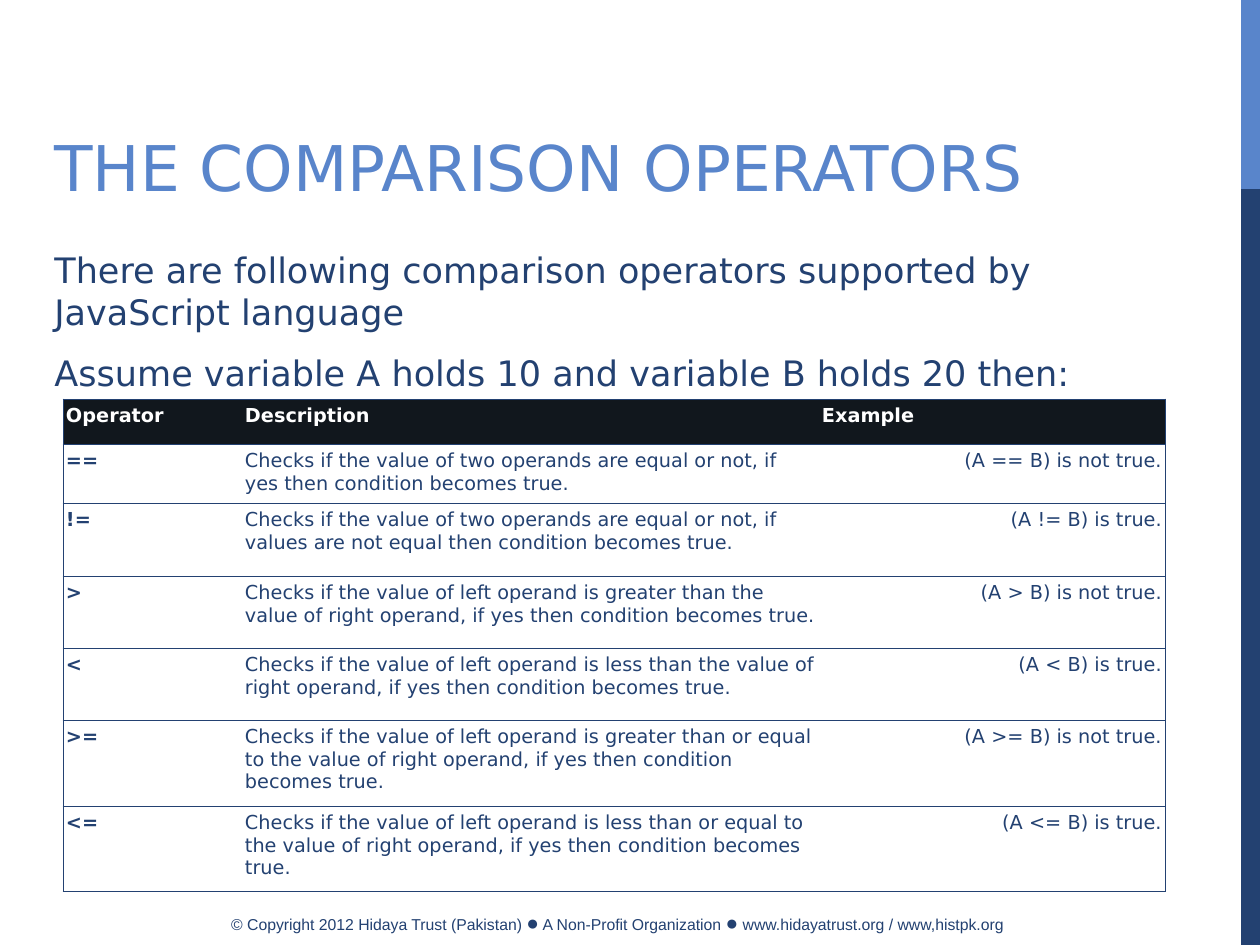
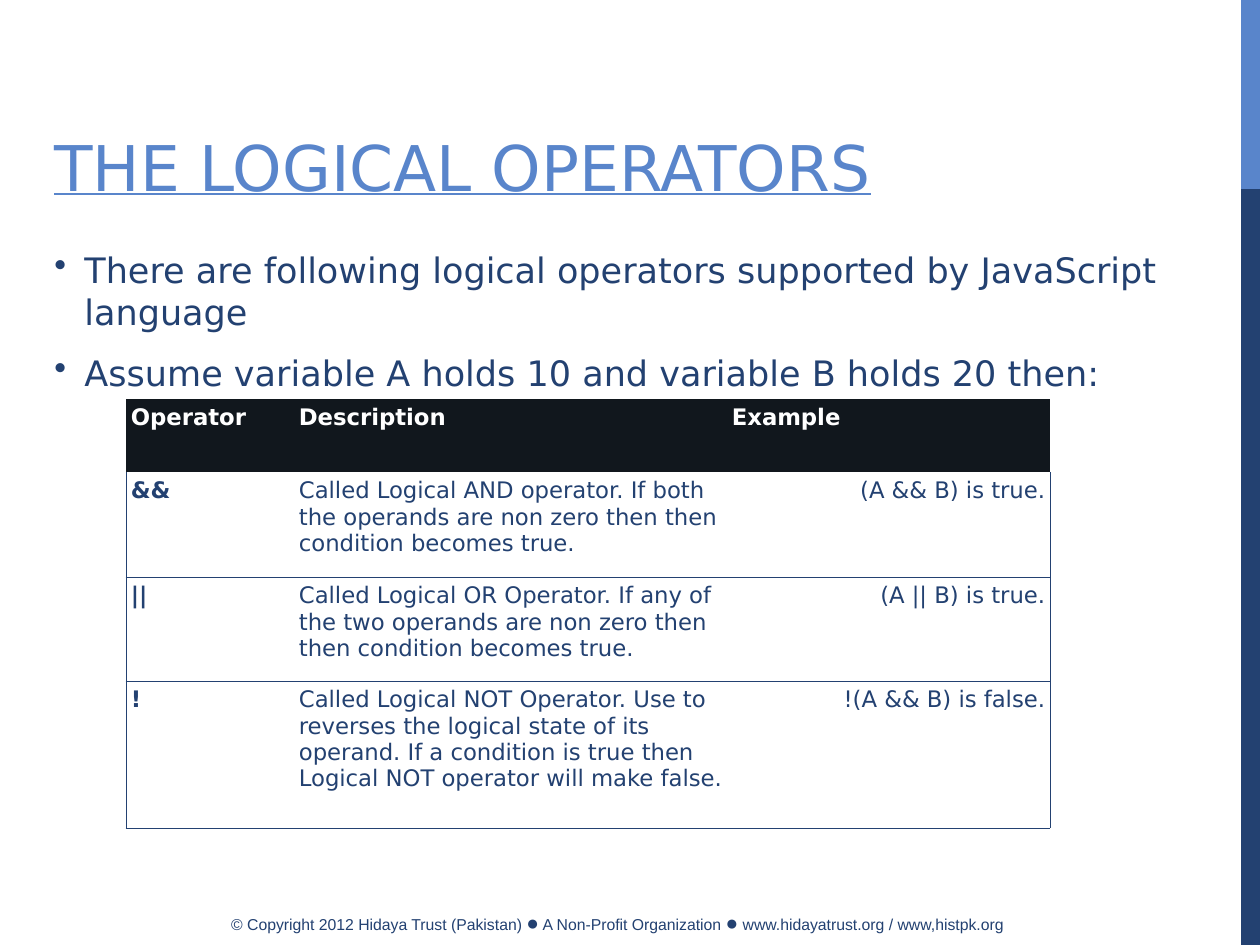
from lxml import etree
from pptx import Presentation, util as u
from pptx.dml.color import RGBColor
from pptx.enum import shapes, text
from pptx.oxml import ns

NAVY = RGBColor(0x23, 0x41, 0x71)
BLUE = RGBColor(0x59, 0x85, 0xCB)
INK = RGBColor(0x11, 0x17, 0x1D)
WHITE = RGBColor(0xFF, 0xFF, 0xFF)
FONT = "DejaVu Sans"
FOOT_FONT = "Arial"
PX = 914400 / 126
BORDER = u.Pt(0.45)
LEFT, RIGHT = text.PP_ALIGN.LEFT, text.PP_ALIGN.RIGHT

HEADER = ("Operator", "Description", "Example")
ASSUME = "Assume variable A holds 10 and variable B holds 20 then:"
FOOTER = [
    ("© Copyright 2012 Hidaya Trust (Pakistan) ", 9),
    ("●", 12),
    (" A Non-Profit Organization ", 9),
    ("●", 12),
    (" www.hidayatrust.org / www,histpk.org ", 9),
]
BANDS = [(945, NAVY), (189, BLUE)]
SLIDES = [
    dict(
        title="THE COMPARISON OPERATORS", underline=False, bullet=False,
        intro=["There are following comparison operators supported by JavaScript language", ASSUME],
        left=63, cols=(179, 577, 346), heights=(45, 59, 73, 72, 72, 86, 86),
        inset=3, size=11, header_lines=True,
        rows=[
            ("==", "Checks if the value of two operands are equal or not, if yes then condition becomes true.",
             "(A == B) is not true."),
            ("!=", "Checks if the value of two operands are equal or not, if values are not equal then condition becomes true.",
             "(A != B) is true."),
            (">", "Checks if the value of left operand is greater than the value of right operand, if yes then condition becomes true.",
             "(A > B) is not true."),
            ("<", "Checks if the value of left operand is less than the value of right operand, if yes then condition becomes true.",
             "(A < B) is true."),
            (">=", "Checks if the value of left operand is greater than or equal to the value of right operand, if yes then condition becomes true.",
             "(A >= B) is not true."),
            ("<=", "Checks if the value of left operand is less than or equal to the value of right operand, if yes then condition becomes true.",
             "(A <= B) is true."),
        ],
    ),
    dict(
        title="THE LOGICAL OPERATORS", underline=True, bullet=True,
        intro=["There are following logical operators supported by JavaScript language", ASSUME],
        left=126, cols=(168, 433, 323), heights=(73, 105, 104, 147),
        inset=5, size=13, header_lines=False,
        rows=[
            ("&&", "Called Logical AND operator. If both the operands are non zero then then condition becomes true.",
             "(A && B) is true."),
            ("||", "Called Logical OR Operator. If any of the two operands are non zero then then condition becomes true.",
             "(A || B) is true."),
            ("!", "Called Logical NOT Operator. Use to reverses the logical state of its operand. If a condition is true then Logical NOT operator will make false.",
             "!(A && B) is false."),
        ],
    ),
]


def px(n):
    return u.Emu(round(n * PX))


def add_bullet(p, indent=30):
    pPr = p._p.get_or_add_pPr()
    pPr.set("marL", str(px(indent)))
    pPr.set("indent", str(-px(indent)))
    etree.SubElement(pPr, ns.qn("a:buChar")).set("char", "•")


def write(tf, paragraphs, size=None, color=NAVY, font=FONT, bold=False, underline=False,
          align=LEFT, bullet=False, before=0, after=0):
    for i, runs in enumerate(paragraphs):
        p = tf.add_paragraph() if i else tf.paragraphs[0]
        p.alignment = align
        if i:
            p.space_before = u.Pt(before)
        p.space_after = u.Pt(after)
        if bullet:
            add_bullet(p)
        for words, run_size in [(runs, size)] if isinstance(runs, str) else runs:
            r = p.add_run()
            r.text = words
            r.font.name, r.font.size, r.font.bold = font, u.Pt(run_size), bold
            r.font.underline = underline
            r.font.color.rgb = color


def add_text(s, box, paragraphs, anchor=text.MSO_ANCHOR.TOP, **fmt):
    tf = s.shapes.add_textbox(*map(px, box)).text_frame
    tf.word_wrap = True
    tf.vertical_anchor = anchor
    write(tf, paragraphs, **fmt)


def add_frame(s):
    add_text(s, (189, 903, 861, 38), [FOOTER], font=FOOT_FONT, align=text.PP_ALIGN.CENTER)
    for height, color in BANDS:
        sp = s.shapes.add_shape(shapes.MSO_SHAPE.RECTANGLE, px(1241), 0, px(19), px(height))
        sp.shadow.inherit = False
        sp.fill.solid()
        sp.fill.fore_color.rgb = color
        sp.line.fill.background()


def set_borders(cell, shown):
    tcPr = cell._tc.get_or_add_tcPr()
    for i, side in enumerate("LRTB"):
        ln = etree.Element(ns.qn(f"a:ln{side}"), w=str(BORDER))
        if side in shown:
            fill = etree.SubElement(ln, ns.qn("a:solidFill"))
            etree.SubElement(fill, ns.qn("a:srgbClr"), val=str(NAVY))
        else:
            etree.SubElement(ln, ns.qn("a:noFill"))
        tcPr.insert(i, ln)


def visible_sides(row, col, header_lines):
    if row == 0 and not header_lines:
        return ""
    sides = {0: "L", len(HEADER) - 1: "R"}.get(col, "") + "B"
    return sides + ("T" if row != 1 or header_lines else "")


def add_operator_table(s, d):
    rows = [HEADER, *d["rows"]]
    frame = s.shapes.add_table(len(rows), len(HEADER), px(d["left"]), px(399),
                               px(sum(d["cols"])), px(sum(d["heights"])))
    table = frame.table
    for column, width in zip(table.columns, d["cols"]):
        column.width = px(width)
    for i, values in enumerate(rows):
        table.rows[i].height = px(d["heights"][i])
        for j, value in enumerate(values):
            cell = table.cell(i, j)
            cell.margin_left = cell.margin_right = px(d["inset"])
            cell.margin_top = cell.margin_bottom = px(6)
            cell.fill.solid()
            cell.fill.fore_color.rgb = WHITE if i else INK
            set_borders(cell, visible_sides(i, j, d["header_lines"]))
            write(cell.text_frame, [value], size=d["size"], color=NAVY if i else WHITE,
                  bold=i == 0 or j == 0, align=RIGHT if i and j == 2 else LEFT)


def main():
    prs = Presentation()
    prs.slide_width, prs.slide_height = px(1260), px(945)
    for d in SLIDES:
        s = prs.slides.add_slide(prs.slide_layouts[6])
        add_frame(s)
        add_text(s, (42, 116, 1144, 94), [d["title"]], anchor=text.MSO_ANCHOR.BOTTOM,
                 size=36, color=BLUE, underline=d["underline"])
        add_text(s, (42, 242, 1176, 609), d["intro"], size=20, bullet=d["bullet"],
                 before=5, after=6)
        add_operator_table(s, d)
    prs.save("out.pptx")


if __name__ == "__main__":
    main()
